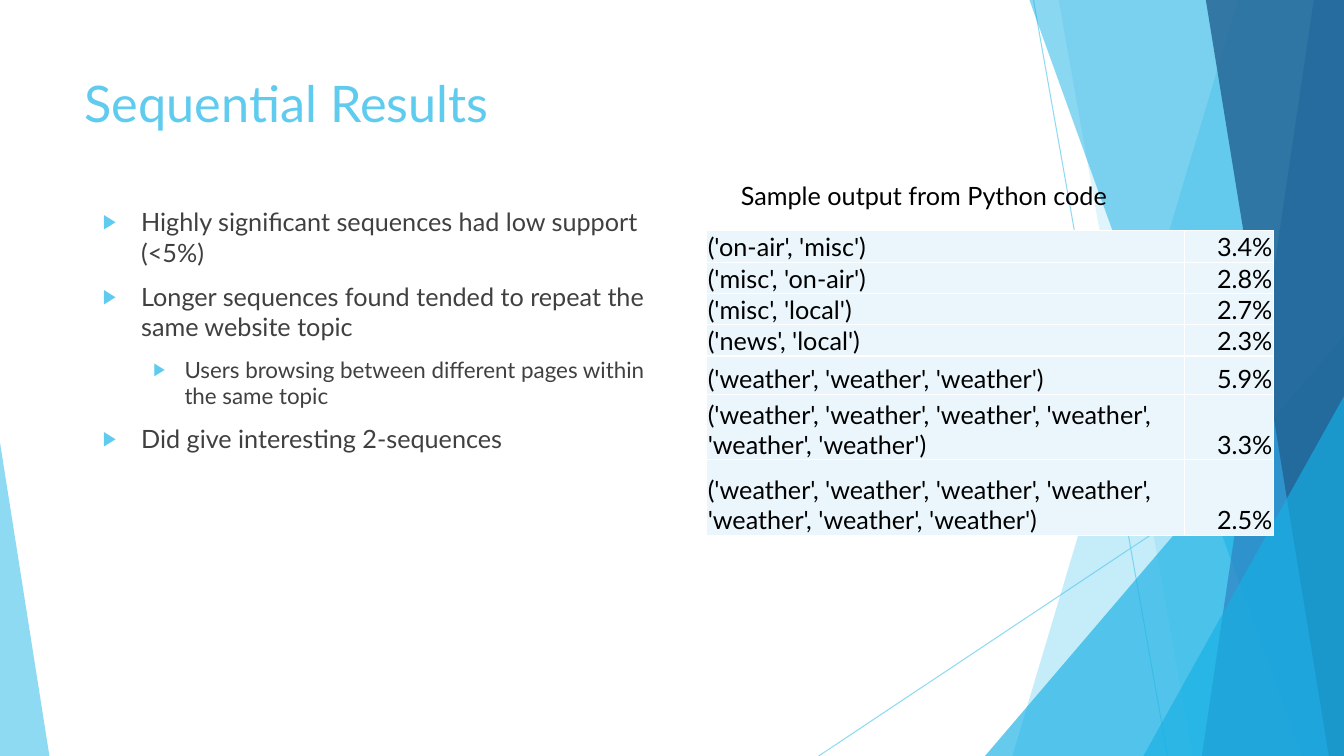
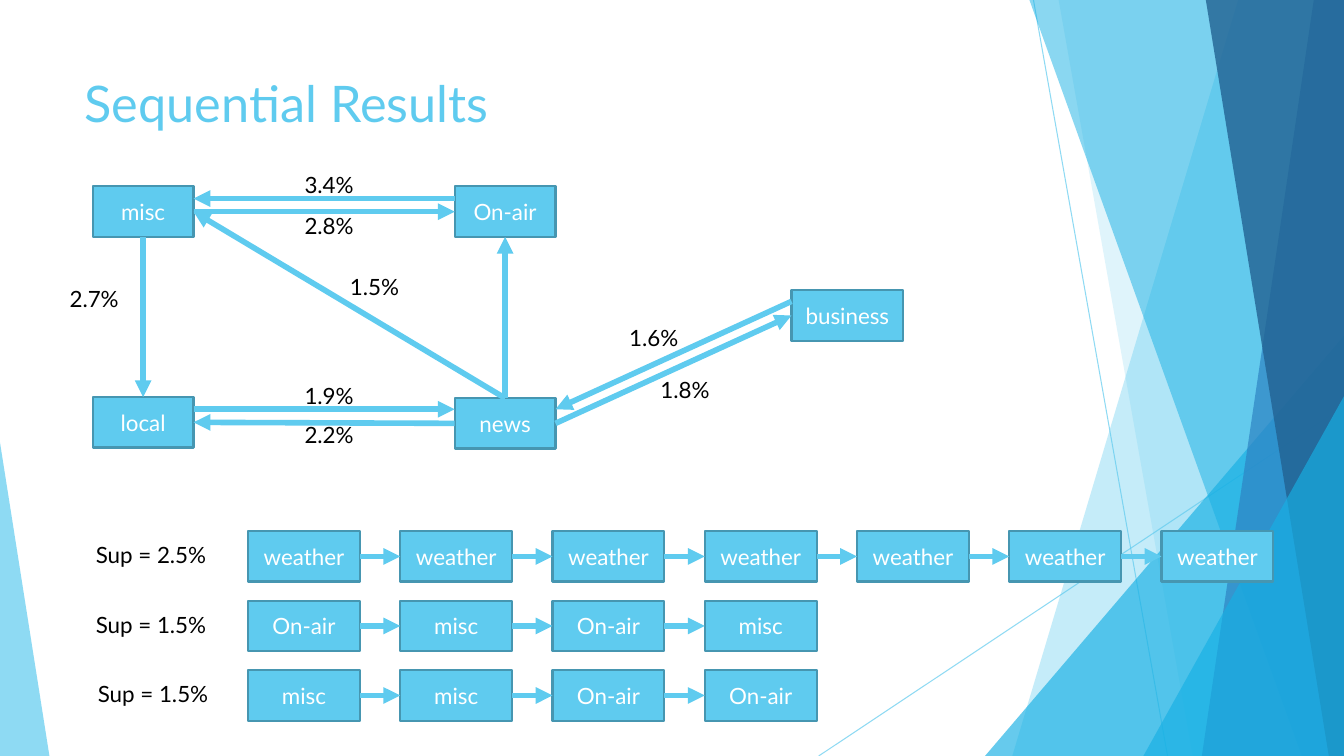
from lxml import etree
from pptx import Presentation
from pptx.dml import color as col
from pptx.enum import shapes, text
from pptx.oxml import ns
from pptx import util as u

WIDE, HIGH = 13.33, 7.5
FONT = "Lato"
HUES = {"sky": "5FCBEF", "cyan": "17B0E4", "blue": "2E83C3", "navy": "226292",
        "edge": "4696B1", "pale": "EAF6FC", "gray": "404040",
        "white": "FFFFFF", "black": "000000"}
TOP, LEFT, BASE, RIGHT = range(4)  # connection sites of a rectangle


def rgb(hue):
    return col.RGBColor.from_string(HUES[hue])


def sub(node, tag, **atts):
    return etree.SubElement(node, ns.qn(tag), atts)


def fade(shape, part, pct):
    """Make the fill or line colour of a shape partly transparent."""
    for node in shape.element.xpath(f"./p:spPr/{part}/a:srgbClr"):
        sub(node, "a:alpha", val=str(pct * 1000))


class Deck:
    def __init__(self):
        self.prs = Presentation()
        self.prs.slide_width = u.Inches(WIDE)
        self.prs.slide_height = u.Inches(HIGH)
        self.slide = None

    def page(self, layout, title):
        self.slide = self.prs.slides.add_slide(self.prs.slide_layouts[layout])
        if len(self.prs.slides) == 1:
            self.decor()
        head = self.slide.shapes.title
        self.place(head, 0.74, 0.67, 9.4, 1.44)
        self.say(head.text_frame.paragraphs[0], title, 36, "sky")

    # Text
    def say(self, para, words, size, hue, align=text.PP_ALIGN.LEFT):
        para.alignment = align
        run = para.add_run()
        run.text = words
        run.font.name, run.font.size = FONT, u.Pt(size)
        run.font.color.rgb = rgb(hue)

    def place(self, holder, x, y, w, h):
        holder.left, holder.top = u.Inches(x), u.Inches(y)
        holder.width, holder.height = u.Inches(w), u.Inches(h)
        frame = holder.text_frame
        frame.auto_size = text.MSO_AUTO_SIZE.NONE
        frame.vertical_anchor = text.MSO_ANCHOR.TOP

    def bullets(self, items, x, y, w, h):
        body = self.slide.placeholders[1]
        self.place(body, x, y, w, h)
        frame = body.text_frame
        for i, (level, words) in enumerate(items):
            para = frame.add_paragraph() if i else frame.paragraphs[0]
            para.level, para.space_before = level, u.Pt(10)
            size, left, hang = ((18, 0.38, 0.38), (16, 0.81, 0.31))[level]
            self.say(para, words, size, "gray")
            props = para._p.get_or_add_pPr()
            props.set("marL", str(u.Inches(left)))
            props.set("indent", str(-u.Inches(hang)))
            sub(sub(props, "a:buClr"), "a:srgbClr", val=HUES["sky"])
            sub(props, "a:buSzPct", val="80000")
            sub(props, "a:buFont", typeface="Arial")
            sub(props, "a:buChar", char="▶")

    def label(self, words, x, y, w, h=0.27, size=16, inset=True):
        box = self.slide.shapes.add_textbox(*map(u.Inches, (x, y, w, h)))
        frame = box.text_frame
        frame.word_wrap = True
        frame.auto_size = text.MSO_AUTO_SIZE.SHAPE_TO_FIT_TEXT
        if not inset:
            frame.margin_left = frame.margin_right = 0
            frame.margin_top = frame.margin_bottom = 0
        self.say(frame.paragraphs[0], words, size, "black")

    # Shapes and arrows
    def paint(self, shape, hue, alpha=100):
        shape.shadow.inherit = False
        shape.fill.solid()
        shape.fill.fore_color.rgb = rgb(hue)
        shape.line.fill.background()
        if alpha < 100:
            fade(shape, "a:solidFill", alpha)
        return shape

    def box(self, words, x, y, w):
        rect = self.slide.shapes.add_shape(
            shapes.MSO_SHAPE.RECTANGLE, *map(u.Inches, (x, y, w, 0.5)))
        self.paint(rect, "sky")
        rect.line.color.rgb, rect.line.width = rgb("edge"), u.Pt(1.5)
        frame = rect.text_frame
        frame.vertical_anchor = text.MSO_ANCHOR.MIDDLE
        self.say(frame.paragraphs[0], words, 16, "white", text.PP_ALIGN.CENTER)
        return rect

    def line(self, x1, y1, x2, y2, width):
        line = self.slide.shapes.add_connector(
            shapes.MSO_CONNECTOR.STRAIGHT, *map(u.Inches, (x1, y1, x2, y2)))
        line.line.color.rgb, line.line.width = rgb("sky"), u.Pt(width)
        sub(line.element.spPr, "a:effectLst")
        return line

    def arrow(self, x1=0, y1=0, x2=0, y2=0):
        line = self.line(x1, y1, x2, y2, 4)
        sub(line.element.spPr.get_or_add_ln(), "a:tailEnd", type="triangle")
        return line

    def join(self, start, site, end, goal):
        line = self.arrow()
        line.begin_connect(start, site)
        line.end_connect(end, goal)

    # Table
    def table(self, rows, x, y, widths, heights):
        grid = self.slide.shapes.add_table(
            len(rows), len(widths),
            *map(u.Inches, (x, y, sum(widths), sum(heights)))).table
        grid.first_row = grid.horz_banding = False
        for c, wide in enumerate(widths):
            grid.columns[c].width = u.Inches(wide)
        for r, row in enumerate(rows):
            grid.rows[r].height = u.Inches(heights[r])
            for c, words in enumerate(row):
                self.cell(grid.cell(r, c), words,
                          text.PP_ALIGN.RIGHT if c else text.PP_ALIGN.LEFT)

    def cell(self, cell, words, align):
        cell.margin_left = cell.margin_right = cell.margin_top = u.Inches(0.01)
        cell.margin_bottom = 0
        cell.vertical_anchor = text.MSO_ANCHOR.BOTTOM
        self.say(cell.text_frame.paragraphs[0], words, 18, "black", align)
        props = cell._tc.get_or_add_tcPr()
        for side in "LRTB":
            edge = sub(props, f"a:ln{side}", w=str(u.Pt(1)))
            sub(sub(edge, "a:solidFill"), "a:srgbClr", val=HUES["white"])
        cell.fill.solid()
        cell.fill.fore_color.rgb = rgb("pale")

    # Background facets, kept on the slide master
    def band(self, top, base, hue, alpha):
        pts = [(u.Inches(x), u.Inches(y)) for x, y in
               ((top, 0), (WIDE, 0), (WIDE, HIGH), (base, HIGH))]
        form = self.slide.shapes.build_freeform(*pts[0])
        form.add_line_segments(pts[1:])
        return self.paint(form.convert_to_shape(), hue, alpha)

    def wedge(self, x, y, w, peak, hue, alpha):
        tri = self.slide.shapes.add_shape(
            shapes.MSO_SHAPE.ISOSCELES_TRIANGLE,
            *map(u.Inches, (x, y, w, HIGH - y)))
        tri.adjustments[0] = peak
        return self.paint(tri, hue, alpha)

    def decor(self):
        rays = [self.line(10.25, 0, 11.58, HIGH, 0.75),
                self.line(WIDE, 4.03, 8.12, HIGH, 0.75)]
        for ray in rays:
            fade(ray, "a:ln/a:solidFill", 70)
        parts = rays + [
            self.band(12.28, 10.04, "sky", 36),
            self.band(10.5, 11.83, "sky", 20),
            self.wedge(9.77, 3.33, 3.56, 1, "cyan", 66),
            self.band(10.21, 12.91, "cyan", 50),
            self.band(13.03, 11.92, "blue", 70),
            self.band(11.96, 13.18, "navy", 80),
            self.wedge(11.34, 3.93, 1.99, 1, "cyan", 66),
            self.wedge(0, 4.39, 0.49, 0, "sky", 70)]
        tree = self.prs.slide_master.shapes.element
        for i, part in enumerate(parts):
            part.element.xpath(".//p:cNvPr")[0].set("id", str(100 + i))
            tree.insert(2 + i, part.element)


def results(deck):
    deck.page(1, "Sequential Results")
    deck.bullets([
        (0, "Highly significant sequences had low support (<5%)"),
        (0, "Longer sequences found tended to repeat the same website topic"),
        (1, "Users browsing between different pages within the same topic"),
        (0, "Did give interesting 2-sequences")], 0.92, 2, 5.72, 5.14)
    deck.table([
        ("('on-air', 'misc')", "3.4%"),
        ("('misc', 'on-air')", "2.8%"),
        ("('misc', 'local')", "2.7%"),
        ("('news', 'local')", "2.3%"),
        ("('weather', 'weather', 'weather')", "5.9%"),
        ("('weather', 'weather', 'weather', 'weather', 'weather', 'weather')",
         "3.3%"),
        ("('weather', 'weather', 'weather', 'weather', 'weather', 'weather', "
         "'weather')", "2.5%")],
        7.01, 2.29, (4.74, 0.88), [0.27] * 4 + [0.38, 0.65, 0.75])
    deck.label("Sample output from Python code", 7.25, 1.74, 4.29, 0.4, 18)


def graph(deck):
    deck.page(5, "Sequential Results")

    # Topic network
    misc = deck.box("misc", 0.92, 1.85, 1)
    trade = deck.box("business", 7.85, 2.88, 1.11)
    local = deck.box("local", 0.92, 3.94, 1)
    news = deck.box("news", 4.51, 3.95, 1)
    air = deck.box("On-air", 4.51, 1.85, 1)
    for ends in ((misc, BASE, local, TOP), (news, TOP, air, BASE),
                 (news, TOP, misc, RIGHT), (misc, RIGHT, air, LEFT),
                 (news, LEFT, local, RIGHT), (news, RIGHT, trade, LEFT)):
        deck.join(*ends)
    for ends in ((4.51, 1.97, 1.92, 1.97), (1.92, 4.06, 4.51, 4.06),
                 (7.85, 2.99, 5.51, 4.06)):
        deck.arrow(*ends)
    for words, x, y in (("2.7%", 0.69, 2.83), ("2.8%", 3.02, 2.1),
                        ("2.2%", 3.02, 4.18), ("1.9%", 3.02, 3.79),
                        ("3.4%", 3.02, 1.7), ("1.8%", 6.55, 3.73),
                        ("1.6%", 6.24, 3.22), ("1.5%", 3.47, 2.71)):
        deck.label(words, x, y, 0.88, inset=False)

    # Sequence chains
    chains = (("Sup = 2.5%", 0.95, ["weather"] * 7),
              ("Sup = 1.5%", 0.95, ["On-air", "misc"] * 2),
              ("Sup = 1.5%", 0.97, ["misc"] * 2 + ["On-air"] * 2))
    for row, (words, x, topics) in enumerate(chains):
        y = 5.27 + 0.69 * row
        deck.label(words, x, y + 0.1, 1.51, inset=False)
        steps = [deck.box(topic, 2.46 + 1.51 * i, y, 1.11)
                 for i, topic in enumerate(topics)]
        for start, end in zip(steps, steps[1:]):
            deck.join(start, RIGHT, end, LEFT)


def main():
    deck = Deck()
    results(deck)
    graph(deck)
    deck.prs.save("out.pptx")


if __name__ == "__main__":
    main()
